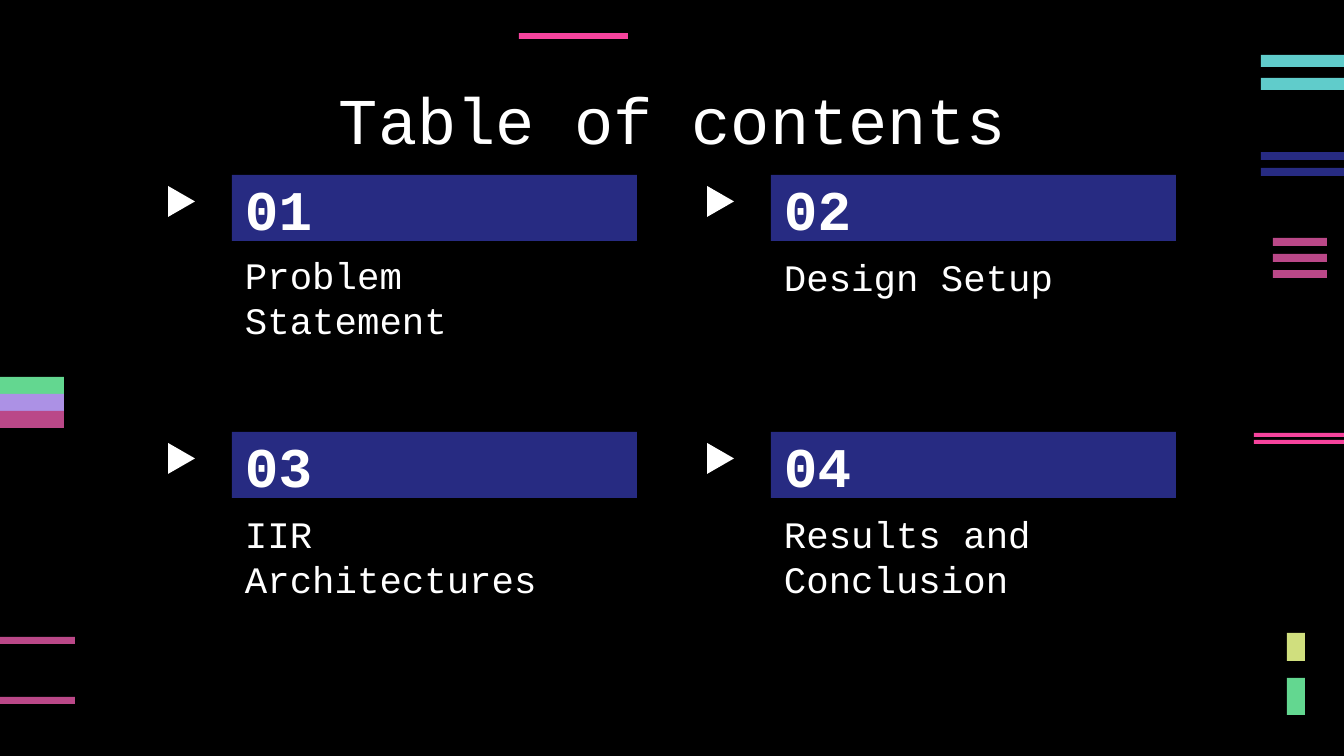
from pptx import Presentation
from pptx.dml.color import RGBColor
from pptx.enum.shapes import MSO_SHAPE
from pptx.enum.text import MSO_ANCHOR, PP_ALIGN
from pptx.util import Pt

SLIDE_WIDTH, SLIDE_HEIGHT = 1344, 756
EMU_PER_PX = 9144000 / SLIDE_WIDTH
INSET = 13
FONT = "Courier New"

RECTANGLE, TRIANGLE = MSO_SHAPE.RECTANGLE, MSO_SHAPE.ISOSCELES_TRIANGLE
TOP, MIDDLE, BOTTOM = MSO_ANCHOR.TOP, MSO_ANCHOR.MIDDLE, MSO_ANCHOR.BOTTOM
LEFT, CENTER = PP_ALIGN.LEFT, PP_ALIGN.CENTER

BLACK = RGBColor(0x00, 0x00, 0x00)
WHITE = RGBColor(0xFF, 0xFF, 0xFF)
NAVY = RGBColor(0x27, 0x2B, 0x82)
MAGENTA = RGBColor(0xBA, 0x48, 0x88)
PINK = RGBColor(0xF6, 0x43, 0x9D)
TEAL = RGBColor(0x60, 0xCC, 0xCB)
GREEN = RGBColor(0x63, 0xD7, 0x90)
LILAC = RGBColor(0xAC, 0x91, 0xE5)
LIME = RGBColor(0xD0, 0xDF, 0x7E)

# left, first top, width, height, step between tops, colours from the top down
STRIPE_GROUPS = [
    (519, 33, 109, 6, 0, [PINK]),
    (1261, 55, 83, 12, 23, [TEAL, TEAL]),
    (1261, 152, 83, 8, 16, [NAVY, NAVY]),
    (1273, 238, 54, 8, 16, [MAGENTA] * 3),
    (1254, 433, 90, 4, 7, [PINK, PINK]),
    (0, 377, 64, 17, 17, [GREEN, LILAC, MAGENTA]),
    (0, 637, 75, 7, 60, [MAGENTA, MAGENTA]),
    (1287, 633, 18, 28, 0, [LIME]),
    (1287, 678, 18, 37, 0, [GREEN]),
]

# heading and its anchor, in reading order
SECTIONS = [
    ("Problem Statement", BOTTOM),
    ("Design Setup", TOP),
    ("IIR Architectures", TOP),
    ("Results and Conclusion", TOP),
]
GRID_LEFT, GRID_TOP = 232, 175
COLUMN_STEP, ROW_STEP = 539, 257
CARD_WIDTH, BAR_HEIGHT, HEADING_HEIGHT = 405, 66, 114


def px(*lengths):
    return [round(length * EMU_PER_PX) for length in lengths]


def add_filled_shape(slide, kind, box, color):
    shape = slide.shapes.add_shape(kind, *px(*box))
    shape.shadow.inherit = False
    shape.fill.solid()
    shape.fill.fore_color.rgb = color
    shape.line.fill.background()
    return shape


def write_text(shape, text, size, anchor=TOP, alignment=LEFT, bold=False):
    frame = shape.text_frame
    frame.word_wrap = True
    frame.vertical_anchor = anchor
    (inset,) = px(INSET)
    frame.margin_left = frame.margin_right = inset
    frame.margin_top = frame.margin_bottom = inset
    paragraph = frame.paragraphs[0]
    paragraph.alignment = alignment
    run = paragraph.add_run()
    run.text = text
    run.font.name = FONT
    run.font.size = Pt(size)
    run.font.bold = bold
    run.font.color.rgb = WHITE


def add_text_box(slide, box, text, size, **style):
    write_text(slide.shapes.add_textbox(*px(*box)), text, size, **style)


def add_stripes(slide, left, top, width, height, step, colors):
    for index, color in enumerate(colors):
        box = (left, top + index * step, width, height)
        add_filled_shape(slide, RECTANGLE, box, color)


def add_section(slide, index, heading, anchor):
    """Add one numbered bar with its pointer and heading, two to a row."""
    row, column = divmod(index, 2)
    left = GRID_LEFT + column * COLUMN_STEP
    top = GRID_TOP + row * ROW_STEP
    bar = add_filled_shape(slide, RECTANGLE, (left, top, CARD_WIDTH, BAR_HEIGHT), NAVY)
    write_text(bar, f"{index + 1:02}", 30, anchor=MIDDLE, bold=True)
    heading_box = (left, top + BAR_HEIGHT, CARD_WIDTH, HEADING_HEIGHT)
    add_text_box(slide, heading_box, heading, 20, anchor=anchor)
    pointer = add_filled_shape(slide, TRIANGLE, (left - 66, top + 13, 31, 27), WHITE)
    pointer.rotation = 90


def main():
    presentation = Presentation()
    presentation.slide_width, presentation.slide_height = px(SLIDE_WIDTH, SLIDE_HEIGHT)
    slide = presentation.slides.add_slide(presentation.slide_layouts[6])
    slide.background.fill.solid()
    slide.background.fill.fore_color.rgb = BLACK
    for group in STRIPE_GROUPS:
        add_stripes(slide, *group)
    add_text_box(slide, (106, 66, 1133, 85), "Table of contents", 35, alignment=CENTER)
    for index, (heading, anchor) in enumerate(SECTIONS):
        add_section(slide, index, heading, anchor)
    presentation.save("out.pptx")


if __name__ == "__main__":
    main()
